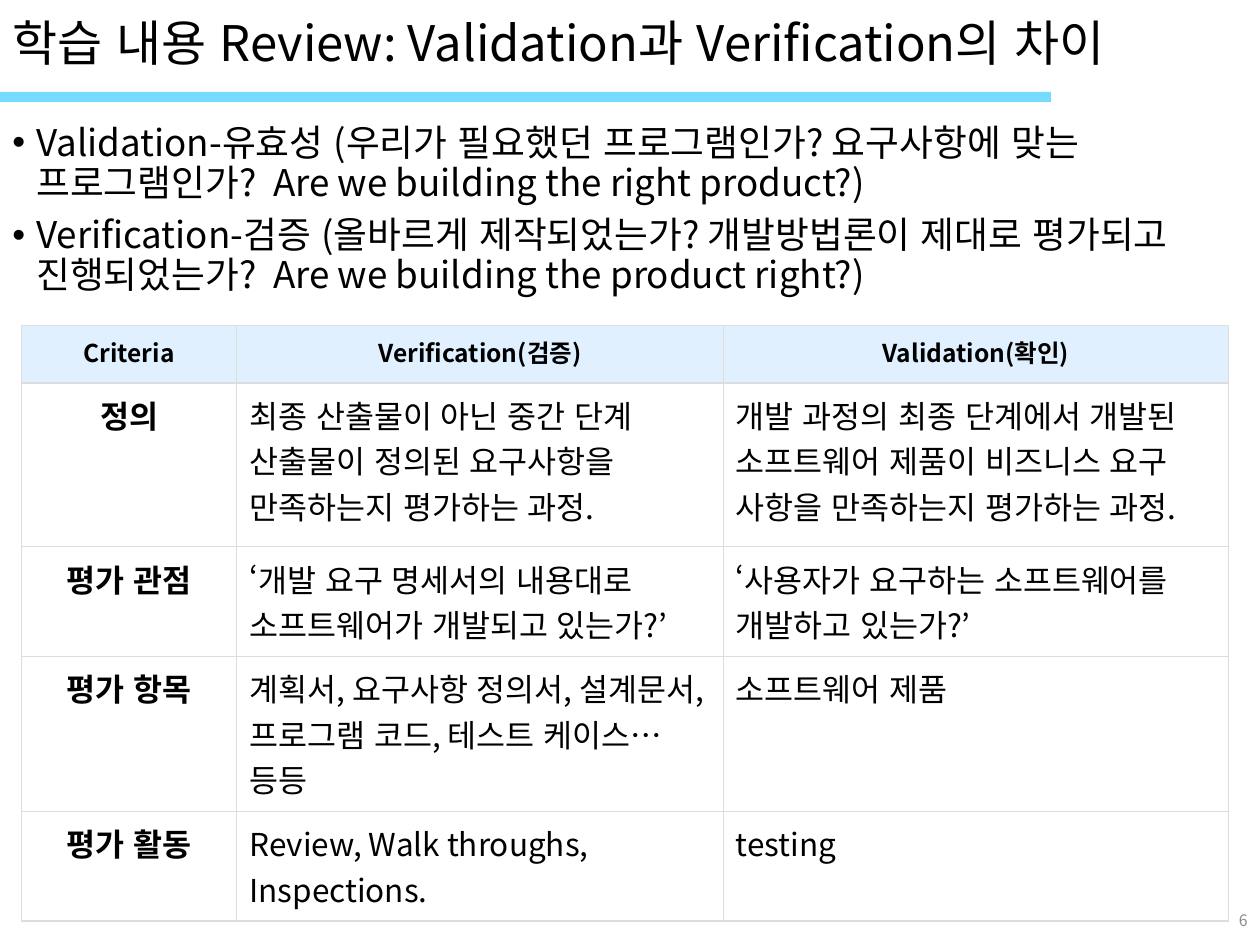
import pptx
import pptx.dml.color
import pptx.enum.lang
import pptx.enum.shapes
import pptx.enum.text
import pptx.oxml.ns
import pptx.util
from lxml import etree

WIDTH, HEIGHT = 10, 7.5
FONT = "Noto Sans CJK KR"
COLORS = {
    "text": "000000",
    "accent": "75DBFF",
    "header": "E0F0FF",
    "cell": "FFFFFF",
    "border": "DDDDDD",
    "number": "8C8C8C",
}
ALIGN = pptx.enum.text.PP_ALIGN
ANCHOR = pptx.enum.text.MSO_ANCHOR

TITLE = "학습 내용 Review: Validation과 Verification의 차이"
DEFINITIONS = [
    "Validation-유효성 (우리가 필요했던 프로그램인가? 요구사항에 맞는 프로그램인가?  "
    "Are we building the right product?)",
    "Verification-검증 (올바르게 제작되었는가? 개발방법론이 제대로 평가되고 진행되었는가?  "
    "Are we building the product right?)",
]
COMPARISON = [
    ("Criteria", "Verification(검증)", "Validation(확인)"),
    ("정의",
     "최종 산출물이 아닌 중간 단계 산출물이 정의된 요구사항을 만족하는지 평가하는 과정.",
     "개발 과정의 최종 단계에서 개발된 소프트웨어 제품이 비즈니스 요구 사항을 만족하는지 평가하는 과정."),
    ("평가 관점",
     "‘개발 요구 명세서의 내용대로 소프트웨어가 개발되고 있는가?’",
     "‘사용자가 요구하는 소프트웨어를 개발하고 있는가?’"),
    ("평가 항목",
     "계획서, 요구사항 정의서, 설계문서, 프로그램 코드, 테스트 케이스… 등등",
     "소프트웨어 제품"),
    ("평가 활동", "Review, Walk throughs, Inspections.", "testing"),
]
COLUMN_WIDTHS = [1.71, 3.86, 4.01]
ROW_HEIGHTS = [0.46, 1.3, 0.87, 1.23, 0.87]


def rgb(name):
    return pptx.dml.color.RGBColor.from_string(COLORS[name])


def add_element(parent, tag, **attributes):
    return etree.SubElement(parent, pptx.oxml.ns.qn(tag), attributes)


def box(left, top, width, height):
    """Turn shares of the slide's size into lengths."""
    return [pptx.util.Inches(share * side) for share, side in
            ((left, WIDTH), (top, HEIGHT), (width, WIDTH), (height, HEIGHT))]


def format_paragraph(paragraph, size, color="text", bold=False, align=ALIGN.LEFT):
    paragraph.alignment = align
    for run in paragraph.runs:
        run.font.size = pptx.util.Pt(size)
        run.font.bold = bold
        run.font.language_id = pptx.enum.lang.MSO_LANGUAGE_ID.KOREAN
        run.font.color.rgb = rgb(color)
        run.font.name = FONT
        add_element(run.font._element, "a:ea", typeface=FONT)


def add_text(slide, area, lines, size, anchor=ANCHOR.MIDDLE, **style):
    frame = slide.shapes.add_textbox(*box(*area)).text_frame
    frame.word_wrap = True
    frame.vertical_anchor = anchor
    frame.text = "\n".join(lines)
    for paragraph in frame.paragraphs:
        format_paragraph(paragraph, size, **style)
    return frame.paragraphs


def add_bullet(paragraph):
    properties = paragraph._p.get_or_add_pPr()
    indent = pptx.util.Inches(0.19)
    properties.set("marL", str(indent))
    properties.set("indent", str(-indent))
    add_element(properties, "a:buFont", typeface="Arial")
    add_element(properties, "a:buChar", char="•")


def add_title_rule(slide):
    rule = slide.shapes.add_shape(
        pptx.enum.shapes.MSO_SHAPE.RECTANGLE, *box(0, 0.73 / HEIGHT, 0.834, 0.08 / HEIGHT))
    rule.shadow.inherit = False
    rule.fill.solid()
    rule.fill.fore_color.rgb = rgb("accent")
    rule.line.fill.background()


def add_borders(cell):
    properties = cell._tc.get_or_add_tcPr()
    for side in ("a:lnL", "a:lnR", "a:lnT", "a:lnB"):
        line = add_element(properties, side, w=str(pptx.util.Pt(0.75)))
        add_element(add_element(line, "a:solidFill"), "a:srgbClr", val=COLORS["border"])


def fill_cell(cell, text, is_header, is_criterion):
    add_borders(cell)
    cell.fill.solid()
    cell.fill.fore_color.rgb = rgb("header" if is_header else "cell")
    cell.margin_left = cell.margin_right = pptx.util.Inches(0.1)
    cell.margin_top = cell.margin_bottom = pptx.util.Inches(0.07)
    cell.text_frame.text = text
    heading = is_header or is_criterion
    format_paragraph(cell.text_frame.paragraphs[0], 14 if is_header else 18,
                     bold=heading, align=ALIGN.CENTER if heading else ALIGN.LEFT)


def add_comparison(slide):
    area = box(0.017, 2.58 / HEIGHT, sum(COLUMN_WIDTHS) / WIDTH, sum(ROW_HEIGHTS) / HEIGHT)
    table = slide.shapes.add_table(len(ROW_HEIGHTS), len(COLUMN_WIDTHS), *area).table
    table.horz_banding = False
    for column, width in zip(table.columns, COLUMN_WIDTHS):
        column.width = pptx.util.Inches(width)
    for row, height in zip(table.rows, ROW_HEIGHTS):
        row.height = pptx.util.Inches(height)
    for r, texts in enumerate(COMPARISON):
        for c, text in enumerate(texts):
            fill_cell(table.cell(r, c), text, r == 0, c == 0)


def main():
    presentation = pptx.Presentation()
    presentation.slide_width = pptx.util.Inches(WIDTH)
    presentation.slide_height = pptx.util.Inches(HEIGHT)
    slide = presentation.slides.add_slide(presentation.slide_layouts[6])

    add_title_rule(slide)
    title, = add_text(slide, (0, 0, 1, 0.72 / HEIGHT), [TITLE], 28)
    title.line_spacing = 0.9
    definitions = add_text(slide, (0, 0.94 / HEIGHT, 1, 6.19 / HEIGHT),
                           DEFINITIONS, 21, anchor=ANCHOR.TOP)
    for definition in definitions:
        definition.line_spacing = 0.9
        definition.space_before = pptx.util.Pt(7.5)
        add_bullet(definition)
    add_text(slide, (0.775, 7.1 / HEIGHT, 0.225, 0.4 / HEIGHT), ["6"], 9,
             color="number", align=ALIGN.RIGHT)
    add_comparison(slide)
    presentation.save("out.pptx")


if __name__ == "__main__":
    main()
